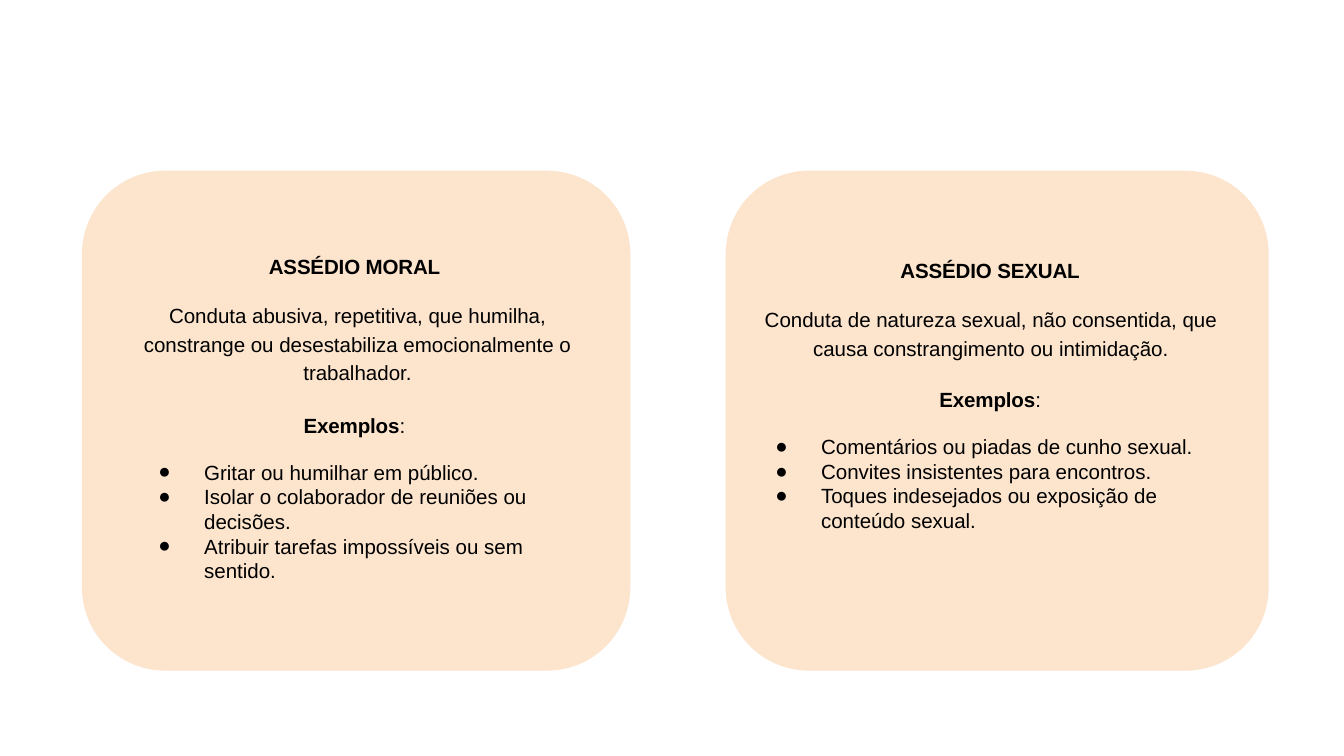
from lxml import etree
from pptx import Presentation
from pptx.dml.color import RGBColor
from pptx.enum.shapes import MSO_SHAPE
from pptx.enum.text import MSO_AUTO_SIZE, PP_ALIGN
from pptx.oxml.ns import qn
from pptx.util import Inches, Pt

PEACH = RGBColor(0xFC, 0xE4, 0xCD)
BLACK = RGBColor(0, 0, 0)
ROUNDED = MSO_SHAPE.ROUNDED_RECTANGLE
GROW = MSO_AUTO_SIZE.SHAPE_TO_FIT_TEXT
LEFT, CENTER = PP_ALIGN.LEFT, PP_ALIGN.CENTER

FONT = "Arial"
SLIDE_WIDTH = Inches(10)
SLIDE_HEIGHT = SLIDE_WIDTH * 9 // 16
CARD_TOP, CARD_HEIGHT, CORNER = 1.27, 3.72, 0.62
LINE_INDENT = (0.01, 0)
BULLET_INDENT = (0.36, -0.34)

MORAL = {
    "card": (0.61, 4.08),
    "title": ("ASSÉDIO MORAL", (1.99, 1.87, 1.32, 0.21)),
    "definition": (
        "Conduta abusiva, repetitiva, que humilha, constrange ou "
        "desestabiliza emocionalmente o trabalhador.",
        (1.05, 2.22, 3.21, 0.66), CENTER, LINE_INDENT),
    "heading": (2.25, 3.05, 0.79, 0.21),
    "examples": (
        "Gritar ou humilhar em público.\n"
        "Isolar o colaborador de reuniões ou decisões.\n"
        "Atribuir tarefas impossíveis ou sem sentido.",
        (1.16, 3.4, 2.77, 0.94)),
}
SEXUAL = {
    "card": (5.4, 4.04),
    "title": ("ASSÉDIO SEXUAL", (6.69, 1.9, 1.38, 0.21)),
    "definition": (
        "Conduta de natureza sexual, não consentida, que causa "
        "constrangimento ou intimidação.",
        (5.68, 2.25, 3.4, 0.45), LEFT, (0.37, -0.36)),
    "heading": (6.98, 2.86, 0.79, 0.21),
    "examples": (
        "Comentários ou piadas de cunho sexual.\n"
        "Convites insistentes para encontros.\n"
        "Toques indesejados ou exposição de conteúdo sexual.",
        (5.75, 3.21, 3.14, 0.76)),
}


def add_card(slide, left, width):
    card = slide.shapes.add_shape(
        ROUNDED, Inches(left), Inches(CARD_TOP), Inches(width), Inches(CARD_HEIGHT))
    card.adjustments[0] = CORNER / min(width, CARD_HEIGHT)
    card.shadow.inherit = False
    card.fill.solid()
    card.fill.fore_color.rgb = PEACH
    card.line.fill.background()


def indent_paragraph(paragraph, margin, first_line, bullet):
    properties = paragraph._p.get_or_add_pPr()
    properties.set("marL", str(Inches(margin)))
    properties.set("indent", str(Inches(first_line)))
    if bullet:
        etree.SubElement(properties, qn("a:buFont")).set("typeface", FONT)
        etree.SubElement(properties, qn("a:buChar")).set("char", bullet)


def add_run(paragraph, text, bold, tracking):
    run = paragraph.add_run()
    run.text = text
    run.font.name = FONT
    run.font.size = Pt(11)
    run.font.bold = bold
    run.font.color.rgb = BLACK
    run._r.get_or_add_rPr().set("spc", str(round(tracking * 100)))


def add_text(slide, text, box, bold=False, tail="", align=LEFT, spacing=1.0,
             indent=LINE_INDENT, bullet=None, tracking=-0.1, inset=0.02):
    frame = slide.shapes.add_textbox(*map(Inches, box)).text_frame
    frame.word_wrap = True
    frame.auto_size = GROW
    frame.margin_left = frame.margin_right = frame.margin_bottom = 0
    frame.margin_top = Inches(inset)
    for index, line in enumerate(text.split("\n")):
        paragraph = frame.add_paragraph() if index else frame.paragraphs[0]
        indent_paragraph(paragraph, *indent, bullet)
        paragraph.alignment = align
        paragraph.line_spacing = spacing
        add_run(paragraph, line, bold, tracking)
        if tail:
            add_run(paragraph, tail, False, tracking)


def add_topic(slide, topic):
    title, title_box = topic["title"]
    definition, definition_box, align, indent = topic["definition"]
    examples, examples_box = topic["examples"]
    add_card(slide, *topic["card"])
    add_text(slide, title, title_box, bold=True)
    add_text(slide, definition, definition_box, align=align, indent=indent,
             spacing=1.15, tracking=-0.04, inset=0.01)
    add_text(slide, "Exemplos", topic["heading"], bold=True, tail=":")
    add_text(slide, examples, examples_box, indent=BULLET_INDENT,
             bullet="●", tracking=-0.03)


def main():
    deck = Presentation()
    deck.slide_width, deck.slide_height = SLIDE_WIDTH, SLIDE_HEIGHT
    slide = deck.slides.add_slide(deck.slide_layouts[6])
    for topic in (MORAL, SEXUAL):
        add_topic(slide, topic)
    deck.save("out.pptx")


if __name__ == "__main__":
    main()
